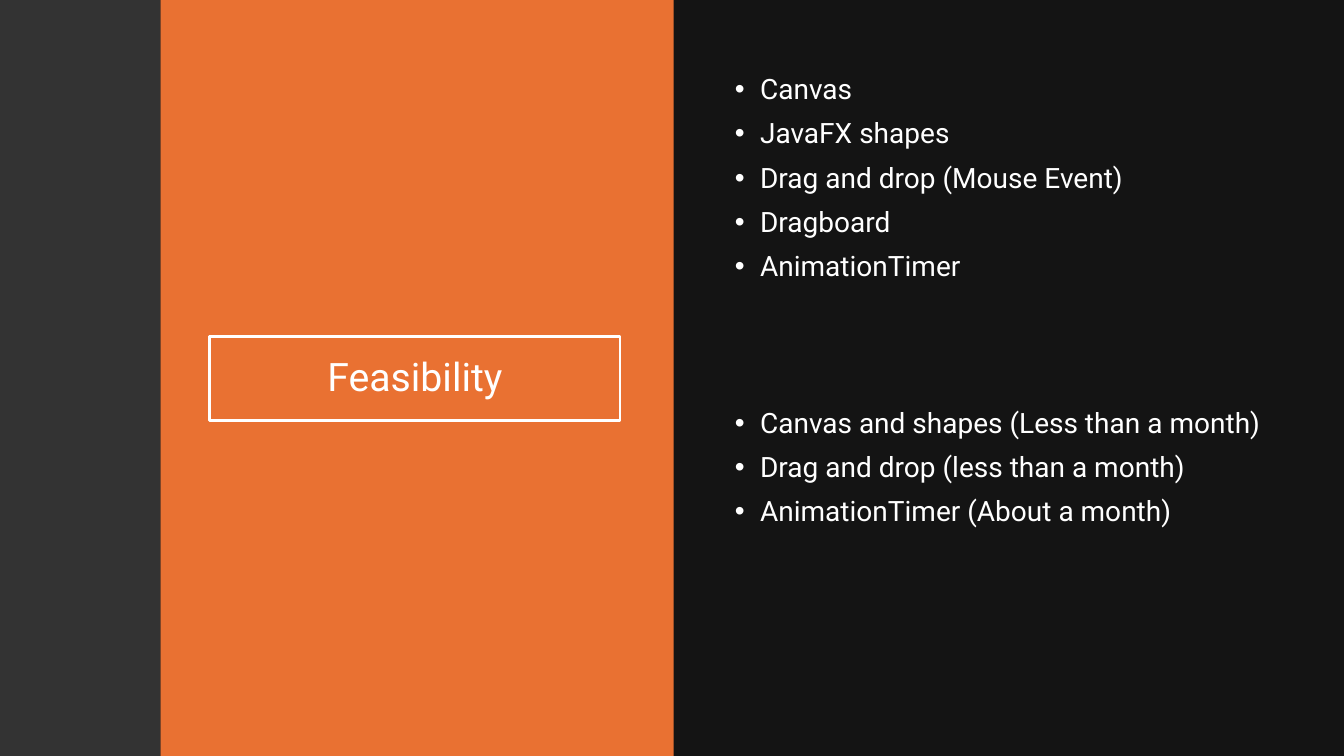
from lxml import etree
from pptx import Presentation
from pptx.dml.color import RGBColor
from pptx.enum.shapes import MSO_SHAPE
from pptx.enum.text import MSO_ANCHOR, PP_ALIGN
from pptx.oxml.ns import qn
from pptx.util import Inches, Pt

RECTANGLE = MSO_SHAPE.RECTANGLE
MIDDLE = MSO_ANCHOR.MIDDLE
CENTER = PP_ALIGN.CENTER

BLACK = RGBColor(0x00, 0x00, 0x00)
WHITE = RGBColor(0xFF, 0xFF, 0xFF)
ORANGE = RGBColor(0xE9, 0x71, 0x32)
GREY = RGBColor(0x40, 0x40, 0x40)

FONT = "Roboto"
TITLE_ONLY = 5
SLIDE_WIDTH, SLIDE_HEIGHT = 13.33, 7.5
LIST_LEFT, LIST_WIDTH, LIST_HEIGHT = 7.19, 5.53, 2.79

FEATURES = [
    "Canvas",
    "JavaFX shapes",
    "Drag and drop (Mouse Event)",
    "Dragboard",
    "AnimationTimer",
]
TIMES = [
    "Canvas and shapes (Less than a month)",
    "Drag and drop (less than a month)",
    "AnimationTimer (About a month)",
]


def add_panel(slide, left, width, color, opacity=100):
    """Add a full-height colour band; opacity is in percent."""
    panel = slide.shapes.add_shape(
        RECTANGLE, Inches(left), 0, Inches(width), Inches(SLIDE_HEIGHT))
    panel.shadow.inherit = False
    panel.line.fill.background()
    panel.fill.solid()
    panel.fill.fore_color.rgb = color
    if opacity < 100:
        color_element = panel.element.spPr.find(qn("a:solidFill"))[0]
        alpha = etree.SubElement(color_element, qn("a:alpha"))
        alpha.set("val", str(opacity * 1000))


def style_paragraph(para, size):
    para.line_spacing = 0.9
    for span in para.runs:
        span.font.name = FONT
        span.font.size = Pt(size)
        span.font.color.rgb = WHITE


def set_title(slide, text):
    title = slide.shapes.title
    title.left, title.top = Inches(2.08), Inches(3.34)
    title.width, title.height = Inches(4.07), Inches(0.83)
    title.line.color.rgb = WHITE
    title.line.width = Pt(2)
    title.text_frame.text = text
    title.text_frame.vertical_anchor = MIDDLE
    para = title.text_frame.paragraphs[0]
    para.alignment = CENTER
    style_paragraph(para, 28)
    # Bring the title in front of the panels
    title.element.getparent().append(title.element)


def add_bullet(para):
    properties = para._p.get_or_add_pPr()
    properties.set("marL", str(Inches(0.25)))
    properties.set("indent", str(-Inches(0.25)))
    etree.SubElement(properties, qn("a:buFont")).set("typeface", "Arial")
    etree.SubElement(properties, qn("a:buChar")).set("char", "•")


def add_bullet_list(slide, top, items):
    box = slide.shapes.add_textbox(
        Inches(LIST_LEFT), Inches(top), Inches(LIST_WIDTH), Inches(LIST_HEIGHT))
    frame = box.text_frame
    frame.word_wrap = True
    frame.text = "\n".join(items)
    for index, para in enumerate(frame.paragraphs):
        add_bullet(para)
        style_paragraph(para, 20)
        if index:
            para.space_before = Pt(10)


def main():
    deck = Presentation()
    deck.slide_width = Inches(SLIDE_WIDTH)
    deck.slide_height = Inches(SLIDE_HEIGHT)
    slide = deck.slides.add_slide(deck.slide_layouts[TITLE_ONLY])
    slide.background.fill.solid()
    slide.background.fill.fore_color.rgb = BLACK

    add_panel(slide, 6.67, SLIDE_WIDTH - 6.67, WHITE, opacity=8)
    add_panel(slide, 1.59, 5.09, ORANGE)
    add_panel(slide, 0, 1.59, GREY, opacity=80)
    set_title(slide, "Feasibility")
    add_bullet_list(slide, 0.7, FEATURES)
    add_bullet_list(slide, 4.01, TIMES)
    deck.save("out.pptx")


if __name__ == "__main__":
    main()
